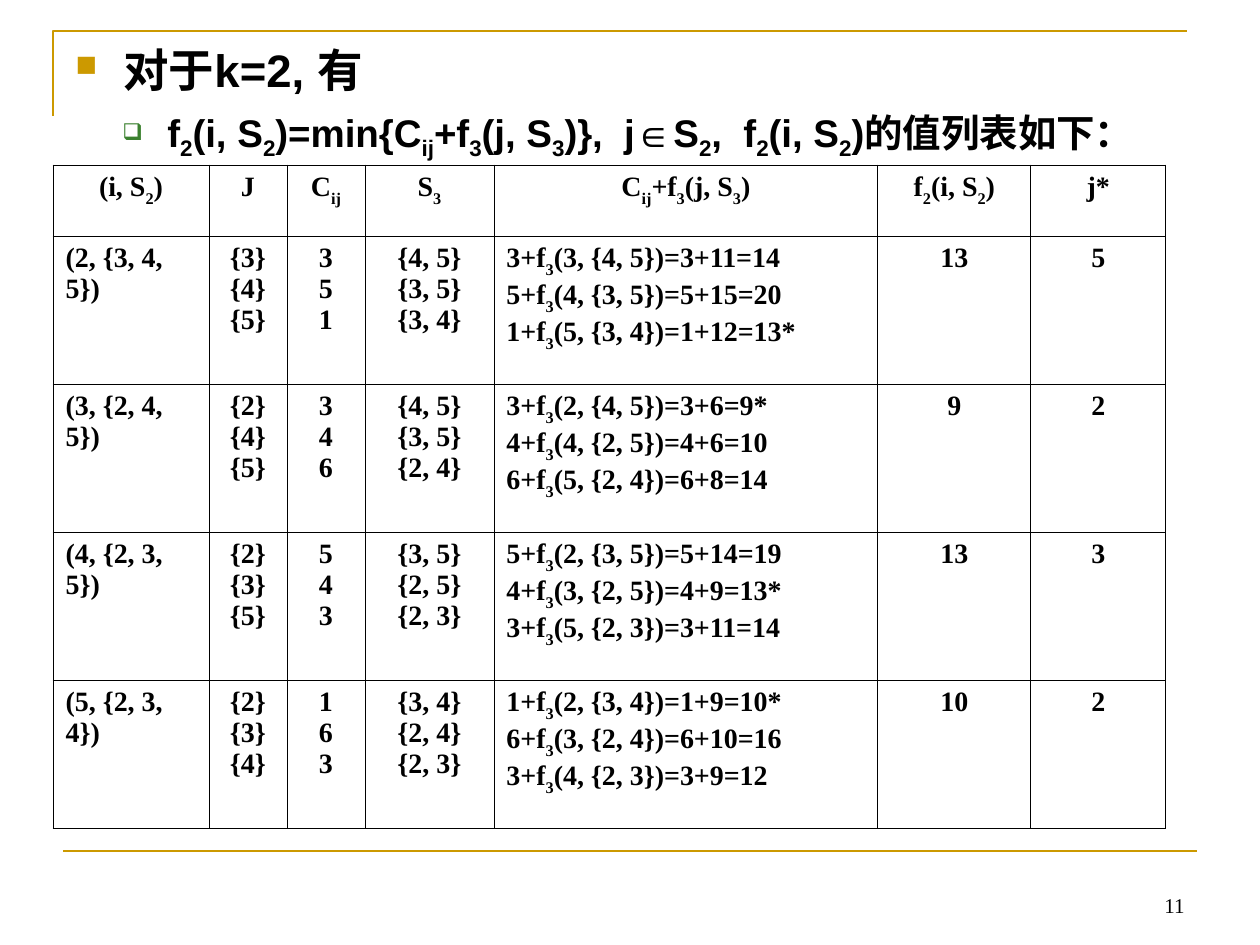
from dataclasses import dataclass
from typing import Any, Optional

from lxml import etree
from pptx import Presentation, util as u
from pptx.dml.color import RGBColor
from pptx.enum import shapes, text
from pptx.oxml import ns

SCALE = 914400 / 126


@dataclass(frozen=True)
class Theme:
    ink: str = "000000"
    gold: str = "CC9900"
    green: str = "3B812F"
    sans: str = "Arial"
    serif: str = "Times New Roman"
    heading: int = 26
    formula: int = 22
    cell: int = 16
    number: int = 12
    rule: float = 1.5
    border: float = 0.45


@dataclass(frozen=True)
class Style:
    font: str
    size: int
    bold: bool = True
    sub: int = -30


@dataclass(frozen=True)
class Bullet:
    char: str
    color: str
    percent: int
    margin: int
    hang: int


@dataclass(frozen=True)
class Item:
    words: str
    style: Style
    bullet: Bullet
    level: int
    before: float


@dataclass(frozen=True)
class Case:
    state: str
    choices: str
    costs: str
    rests: str
    sums: str
    best: str
    choice: str

    def cells(self) -> list[str]:
        return [self.state, self.choices, self.costs, self.rests,
                self.sums, self.best, self.choice]


T = Theme()
CELL = Style(T.serif, T.cell)
ITEMS = [
    Item("对于k=2, 有", Style(T.sans, T.heading),
         Bullet("■", T.gold, 65, 48, 48), 0, 0),
    Item("f[2](i, S[2])=min{C[ij]+f[3](j, S[3])},  j∈S[2],  f[2](i, S[2])的值列表如下：",
         Style(T.sans, T.formula, sub=-25),
         Bullet("❑", T.green, 60, 92, 45), 1, 7),
]
HEADER = Case("(i, S[2])", "J", "C[ij]", "S[3]", "C[ij]+f[3](j, S[3])",
              "f[2](i, S[2])", "j*")
CASES = [
    Case("(2, {3, 4, 5})", "{3}\n{4}\n{5}", "3\n5\n1", "{4, 5}\n{3, 5}\n{3, 4}",
         "3+f[3](3, {4, 5})=3+11=14\n5+f[3](4, {3, 5})=5+15=20\n"
         "1+f[3](5, {3, 4})=1+12=13*", "13", "5"),
    Case("(3, {2, 4, 5})", "{2}\n{4}\n{5}", "3\n4\n6", "{4, 5}\n{3, 5}\n{2, 4}",
         "3+f[3](2, {4, 5})=3+6=9*\n4+f[3](4, {2, 5})=4+6=10\n"
         "6+f[3](5, {2, 4})=6+8=14", "9", "2"),
    Case("(4, {2, 3, 5})", "{2}\n{3}\n{5}", "5\n4\n3", "{3, 5}\n{2, 5}\n{2, 3}",
         "5+f[3](2, {3, 5})=5+14=19\n4+f[3](3, {2, 5})=4+9=13*\n"
         "3+f[3](5, {2, 3})=3+11=14", "13", "3"),
    Case("(5, {2, 3, 4})", "{2}\n{3}\n{4}", "1\n6\n3", "{3, 4}\n{2, 4}\n{2, 3}",
         "1+f[3](2, {3, 4})=1+9=10*\n6+f[3](3, {2, 4})=6+10=16\n"
         "3+f[3](4, {2, 3})=3+9=12", "10", "2"),
]
COLUMNS = [156, 78, 78, 129, 384, 153, 135]
ROWS = [71] + [148] * len(CASES)
LEFT_COLUMNS = {0, 4}


def px(n: int) -> u.Emu:
    return u.Emu(round(n * SCALE))


def child(parent: Any, tag: str, **attrs: str) -> Any:
    e = etree.SubElement(parent, ns.qn(tag))
    for name, value in attrs.items():
        e.set(name, value)
    return e


def apply(target: Any, values: dict[str, Any]) -> None:
    for name, value in values.items():
        setattr(target, name, value)


def write(p: Any, words: str, style: Style) -> None:
    for i, part in enumerate(words.replace("]", "[").split("[")):
        if not part:
            continue
        r = p.add_run()
        r.text = part
        apply(r.font, {"name": style.font, "size": u.Pt(style.size), "bold": style.bold})
        r.font.color.rgb = RGBColor.from_string(T.ink)
        rpr = r.font._element
        child(rpr, "a:ea", typeface=style.font)
        if i % 2:
            rpr.set("baseline", str(style.sub * 1000))


def add_bullet(p: Any, b: Bullet) -> None:
    ppr = p._p.get_or_add_pPr()
    ppr.set("marL", str(px(b.margin)))
    ppr.set("indent", str(-px(b.hang)))
    child(child(ppr, "a:buClr"), "a:srgbClr", val=b.color)
    child(ppr, "a:buSzPct", val=str(b.percent * 1000))
    child(ppr, "a:buChar", char=b.char)


def add_box(s: Any, x: int, y: int, w: int, h: int,
            values: Optional[dict[str, Any]] = None) -> Any:
    tf = s.shapes.add_textbox(px(x), px(y), px(w), px(h)).text_frame
    apply(tf, {"word_wrap": True, **(values or {})})
    return tf


def style_rule(sp: Any) -> None:
    sp.line.color.rgb = RGBColor.from_string(T.gold)
    sp.line.width = u.Pt(T.rule)


def add_rules(s: Any) -> None:
    fb = s.shapes.build_freeform(53, 116, scale=SCALE)
    fb.add_line_segments([(53, 31), (1187, 31)], close=False)
    sp = fb.convert_to_shape()
    sp.shadow.inherit = False
    sp.fill.background()
    style_rule(sp)
    line = s.shapes.add_connector(shapes.MSO_CONNECTOR.STRAIGHT,
                                  px(63), px(851), px(1197), px(851))
    style_rule(line)
    child(line._element.spPr, "a:effectLst")


def add_items(s: Any) -> None:
    tf = add_box(s, 63, 31, 1134, 624, {"margin_top": px(11)})
    for i, item in enumerate(ITEMS):
        p = tf.add_paragraph() if i else tf.paragraphs[0]
        add_bullet(p, item.bullet)
        apply(p, {"level": item.level, "space_before": u.Pt(item.before)})
        write(p, item.words, item.style)


def fill_cell(cell: Any, words: str, align: Any) -> None:
    for i, line in enumerate(words.split("\n")):
        p = cell.text_frame.add_paragraph() if i else cell.text_frame.paragraphs[0]
        p.alignment = align
        write(p, line, CELL)
    tcpr = cell._tc.get_or_add_tcPr()
    for side in "LRTB":
        ln = child(tcpr, f"a:ln{side}", w=str(u.Pt(T.border)))
        child(child(ln, "a:solidFill"), "a:srgbClr", val=T.ink)
    cell.fill.background()


def add_values(s: Any) -> None:
    tbl = s.shapes.add_table(len(ROWS), len(COLUMNS), px(53), px(165),
                             px(sum(COLUMNS)), px(sum(ROWS))).table
    apply(tbl, {"first_row": False, "horz_banding": False})
    for column, width in zip(tbl.columns, COLUMNS):
        column.width = px(width)
    for r, (row, height, case) in enumerate(zip(tbl.rows, ROWS, [HEADER, *CASES])):
        row.height = px(height)
        for c, words in enumerate(case.cells()):
            left = r > 0 and c in LEFT_COLUMNS
            fill_cell(tbl.cell(r, c), words,
                      text.PP_ALIGN.LEFT if left else text.PP_ALIGN.CENTER)


def add_number(s: Any) -> None:
    tf = add_box(s, 903, 861, 294, 63, {"vertical_anchor": text.MSO_ANCHOR.BOTTOM})
    p = tf.paragraphs[0]
    p.alignment = text.PP_ALIGN.RIGHT
    write(p, "11", Style(T.serif, T.number, bold=False))


def main() -> None:
    prs = Presentation()
    apply(prs, {"slide_width": px(1260), "slide_height": px(945)})
    s = prs.slides.add_slide(prs.slide_layouts[6])
    add_rules(s)
    add_number(s)
    add_items(s)
    add_values(s)
    prs.save("out.pptx")


if __name__ == "__main__":
    main()
